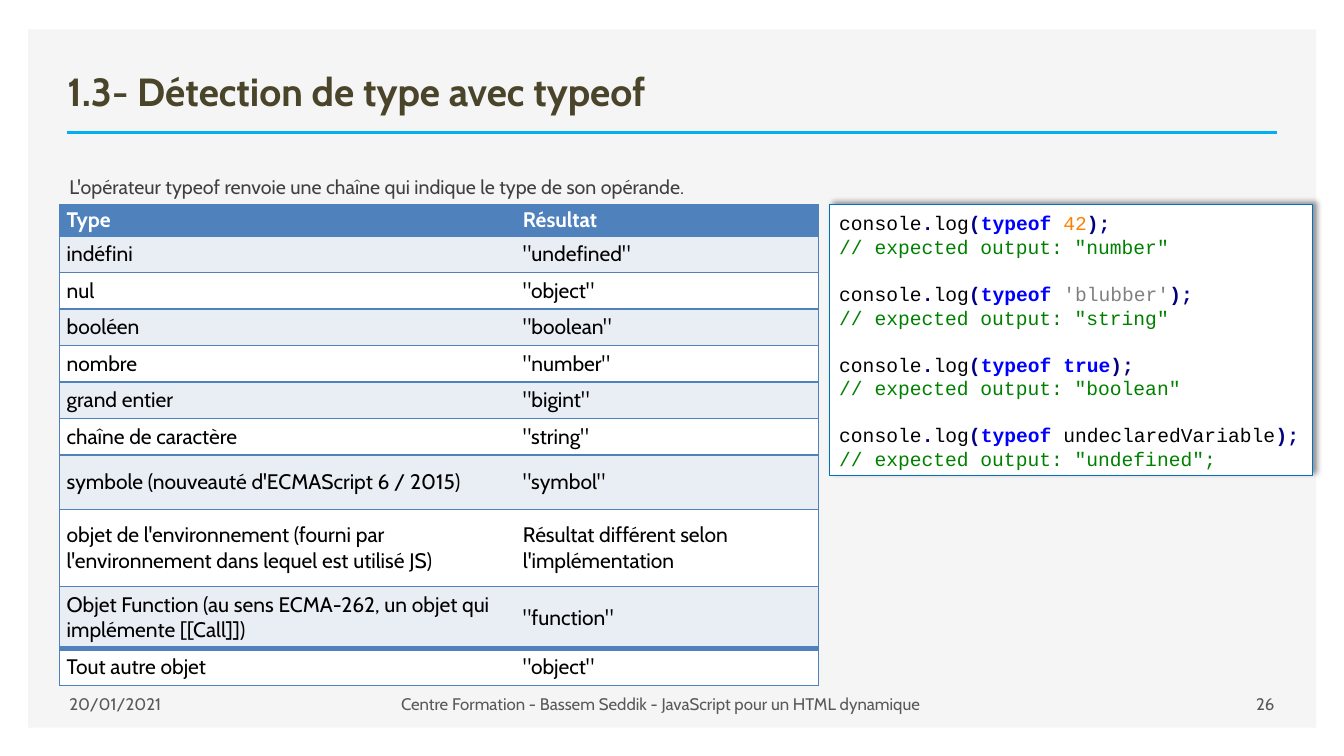
import pptx
import pptx.dml.color
import pptx.enum.shapes
import pptx.enum.text
import pptx.oxml
import pptx.oxml.ns
import pptx.util
from lxml import etree

Cm, Pt = pptx.util.Cm, pptx.util.Pt
RGBColor = pptx.dml.color.RGBColor
Align, Anchor = pptx.enum.text.PP_ALIGN, pptx.enum.text.MSO_ANCHOR

WHITE = RGBColor(0xFF, 0xFF, 0xFF)
BLACK = RGBColor(0, 0, 0)
PANEL_GREY = RGBColor(0xF5, 0xF5, 0xF5)
RULE_BLUE = RGBColor(0x00, 0xB0, 0xF0)
TITLE_OLIVE = RGBColor(0x4A, 0x45, 0x2A)
BODY_GREY = RGBColor(0x40, 0x40, 0x40)
FOOTER_GREY = RGBColor(0x59, 0x59, 0x59)
TABLE_BLUE = RGBColor(0x4F, 0x81, 0xBD)
BAND_BLUE = RGBColor(0xE9, 0xED, 0xF4)
CODE_BORDER = RGBColor(0x00, 0x70, 0xC0)
PUNCTUATION = RGBColor(0x00, 0x00, 0x80)
KEYWORD = RGBColor(0x00, 0x00, 0xFF)
NUMBER = RGBColor(0xFF, 0x80, 0x00)
STRING = RGBColor(0x80, 0x80, 0x80)
COMMENT = RGBColor(0x00, 0x80, 0x00)

TYPE_ROWS = [  # type, result, row height in cm
    ("Type", "Résultat", 0.77),
    ("indéfini", '"undefined"', 0.92),
    ("nul", '"object"', 0.92),
    ("booléen", '"boolean"', 0.92),
    ("nombre", '"number"', 0.92),
    ("grand entier", '"bigint"', 0.92),
    ("chaîne de caractère", '"string"', 0.92),
    ("symbole (nouveauté d'ECMAScript 6 / 2015)", '"symbol"', 1.37),
    ("objet de l'environnement (fourni par l'environnement dans lequel est utilisé JS)",
     "Résultat différent selon l'implémentation", 1.94),
    ("Objet Function (au sens ECMA-262, un objet qui implémente [[Call]])", '"function"', 1.57),
    ("Tout autre objet", '"object"', 0.92),
]

EXAMPLES = [  # operand, its colour, bold, comment below
    ("42", NUMBER, False, '// expected output: "number"'),
    ("'blubber'", STRING, False, '// expected output: "string"'),
    ("true", KEYWORD, True, '// expected output: "boolean"'),
    ("undeclaredVariable", BLACK, False, '// expected output: "undefined";'),
]


class CourseSlide:
    text_font = "Cabin"
    code_font = "Courier New"
    code_pitch = Pt(16.85)

    def __init__(self, slide):
        self.slide = slide

    def style(self, font, size, color, bold=False, name=None):
        font.name = name or self.text_font
        font.size = Pt(size)
        font.bold = bold
        font.color.rgb = color

    def rectangle(self, left, top, width, height, fill, border=None):
        box = self.slide.shapes.add_shape(
            pptx.enum.shapes.MSO_SHAPE.RECTANGLE, Cm(left), Cm(top), Cm(width), Cm(height))
        box.shadow.inherit = False
        box.fill.solid()
        box.fill.fore_color.rgb = fill
        if border is None:
            box.line.fill.background()
        else:
            box.line.color.rgb = border
            box.line.width = Pt(0.75)
        return box

    def rule(self, left, right, y, color):
        line = self.slide.shapes.add_connector(
            pptx.enum.shapes.MSO_CONNECTOR.STRAIGHT, Cm(left), Cm(y), Cm(right), Cm(y))
        line.line.color.rgb = color
        line.line.width = Pt(2)
        etree.SubElement(line.element.spPr, pptx.oxml.ns.qn("a:effectLst"))

    def text(self, content, left, top, width, height, size, color, bold=False,
             align=Align.LEFT, anchor=Anchor.MIDDLE, spacing=None):
        frame = self.slide.shapes.add_textbox(Cm(left), Cm(top), Cm(width), Cm(height)).text_frame
        frame.word_wrap = True
        frame.vertical_anchor = anchor
        frame.text = content
        paragraph = frame.paragraphs[0]
        paragraph.alignment = align
        paragraph.line_spacing = spacing
        self.style(paragraph.runs[0].font, size, color, bold)

    def border(self, cell, side, width):
        """Draw one side (L, R, T or B) of a cell; width 0 hides it."""
        paint = (f'<a:solidFill><a:srgbClr val="{TABLE_BLUE}"/></a:solidFill>'
                 if width else "<a:noFill/>")
        return pptx.oxml.parse_xml(
            f'<a:ln{side} {pptx.oxml.ns.nsdecls("a")} w="{Pt(width)}">{paint}</a:ln{side}>')

    def type_table(self, left, top, widths, rows):
        height = sum(row[2] for row in rows)
        table = self.slide.shapes.add_table(
            len(rows), len(widths), Cm(left), Cm(top), Cm(sum(widths)), Cm(height)).table
        for column, width in zip(table.columns, widths):
            column.width = Cm(width)
        last = len(rows) - 1
        for r, (*labels, row_height) in enumerate(rows):
            table.rows[r].height = Cm(row_height)
            header = r == 0
            fill = TABLE_BLUE if header else BAND_BLUE if r % 2 else WHITE
            for c, label in enumerate(labels):
                cell = table.cell(r, c)
                cell.text = label
                cell.vertical_anchor = Anchor.MIDDLE
                cell.margin_left = cell.margin_right = Cm(0.18)
                cell.margin_top = Cm(0.05 if header else 0.13)
                cell.margin_bottom = Cm(0.1 if header else 0.13)
                self.style(cell.text_frame.paragraphs[0].runs[0].font, 15,
                           WHITE if header else BLACK, header)
                sides = {"L": int(c == 0), "R": int(c == 1),
                         "T": 4 if r == last else 1, "B": 4 if r == last - 1 else 1}
                properties = cell._tc.get_or_add_tcPr()
                for side, width in sides.items():
                    properties.append(self.border(cell, side, width))
                cell.fill.solid()
                cell.fill.fore_color.rgb = fill

    def code_line(self, paragraph, tokens):
        paragraph.alignment = Align.LEFT
        paragraph.line_spacing = self.code_pitch
        for content, color, bold in tokens:
            run = paragraph.add_run()
            run.text = content
            self.style(run.font, 14, color, bold, self.code_font)

    def code_box(self, left, top, width, height, examples):
        box = self.rectangle(left, top, width, height, WHITE, CODE_BORDER)
        effects = box.element.spPr.find(pptx.oxml.ns.qn("a:effectLst"))
        effects.append(pptx.oxml.parse_xml(
            f'<a:outerShdw {pptx.oxml.ns.nsdecls("a")} blurRad="{Pt(4)}" dist="{Pt(3)}" '
            'dir="18900000" algn="bl" rotWithShape="0">'
            '<a:srgbClr val="000000"><a:alpha val="40000"/></a:srgbClr></a:outerShdw>'))
        frame = box.text_frame
        frame.word_wrap = True
        frame.vertical_anchor = Anchor.TOP
        frame.margin_top = Cm(0.16)
        for i, (operand, color, bold, comment) in enumerate(examples):
            statement = frame.add_paragraph() if i else frame.paragraphs[0]
            if i:
                statement.space_before = self.code_pitch
            self.code_line(statement, [
                ("console", BLACK, False), (".", PUNCTUATION, True), ("log", BLACK, False),
                ("(", PUNCTUATION, True), ("typeof", KEYWORD, True), (" ", BLACK, False),
                (operand, color, bold), (");", PUNCTUATION, True)])
            self.code_line(frame.add_paragraph(), [(comment, COMMENT, False)])


def main():
    deck = pptx.Presentation()
    deck.slide_width, deck.slide_height = Cm(33.87), Cm(19.05)
    page = CourseSlide(deck.slides.add_slide(deck.slide_layouts[6]))

    page.rectangle(0.71, 0.74, 32.46, 17.6, PANEL_GREY)
    page.rule(1.68, 32.18, 3.33, RULE_BLUE)
    page.text("1.3- Détection de type avec typeof", 1.45, 1.24, 30.5, 1.78, 28,
              TITLE_OLIVE, bold=True, anchor=Anchor.BOTTOM)
    page.text("L'opérateur typeof renvoie une chaîne qui indique le type de son opérande.",
              1.5, 3.99, 26.04, 12.57, 14, BODY_GREY, anchor=Anchor.TOP, spacing=1.5)

    footer_left = 1.5
    for content, width, align in [
        ("20/01/2021", 4.27, Align.LEFT),
        ("Centre Formation - Bassem Seddik - JavaScript pour un HTML dynamique", 21.77, Align.CENTER),
        ("26", 4.83, Align.RIGHT),
    ]:
        page.text(content, footer_left, 17.22, width, 1.02, 12, FOOTER_GREY, align=align)
        footer_left += width

    page.type_table(1.5, 5.16, [11.5, 7.63], TYPE_ROWS)
    page.code_box(20.9, 5.16, 12.19, 6.83, EXAMPLES)
    deck.save("out.pptx")


if __name__ == "__main__":
    main()
